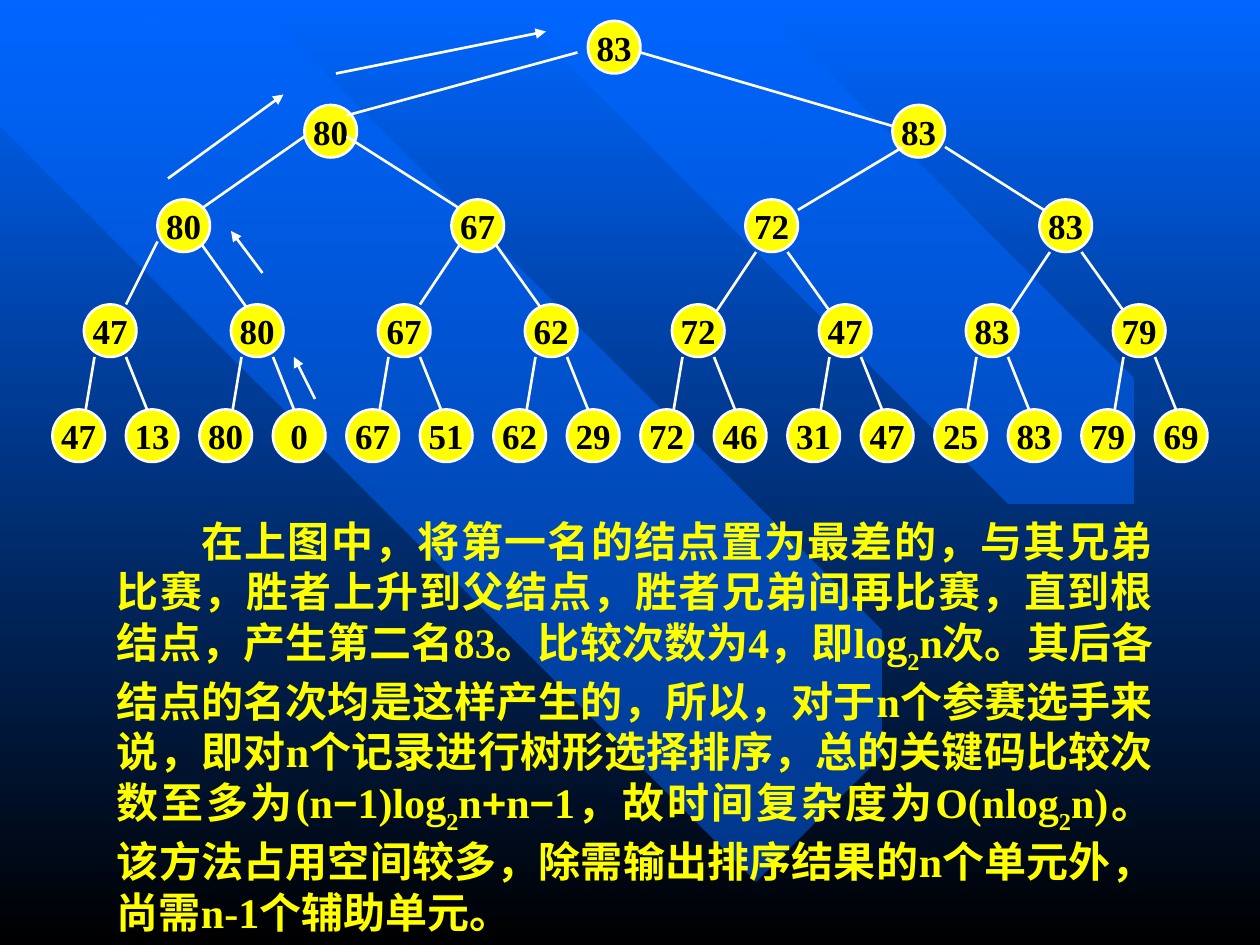
from lxml.etree import SubElement
from pptx import Presentation
from pptx.dml.color import RGBColor
from pptx.enum.shapes import MSO_CONNECTOR, MSO_SHAPE
from pptx.enum.text import MSO_ANCHOR, MSO_AUTO_SIZE, PP_ALIGN
from pptx.oxml.ns import qn
from pptx.util import Inches, Pt

BLUE, BLACK, WHITE, YELLOW = "0066FF", "000000", "FFFFFF", "FFFF00"
SERIF, SANS = "Times New Roman", "Arial"
NODE_SIZE = 5  # the tree is laid out in twelfths of an inch

BEAMS = [
    [(6.7, 5.93), (0.79, 0), (0, 0), (0, 0.84), (5.89, 6.75)],
    [(2.14, 0), (7.38, 5.27), (7.06, 5.59), (1.49, 0)],
    [(4.89, 0), (8.76, 3.89), (8.21, 4.44), (3.8, 0)],
    [(5.3, 0), (8.97, 3.68), (9.27, 3.38), (5.91, 0)],
]

# Tree levels: first left edge, step, top, values
UPPER_LEVELS = [
    (56, 0, 2, [83]),
    (29, 56, 10, [80, 83]),
]
LOWER_LEVELS = [
    (15, 28, 19, [80, 67, 72, 83]),
    (8, 14, 29, [47, 80, 67, 62, 72, 47, 83, 79]),
    (5, 7, 39, [47, 13, 80, 0, 67, 51, 62, 29, 72, 46, 31, 47, 25, 83, 79, 69]),
]

# Links as x1, y1, x2, y2
UPPER_LINKS = [
    (55, 5, 33, 11), (61, 5, 85, 12),
    (29, 13, 19, 20), (33, 13, 44, 20), (86, 14, 76, 20), (90, 14, 101, 21),
    (15, 23, 12, 29), (19, 23, 24, 30), (44, 23, 40, 29), (47, 23, 52, 30),
    (72, 24, 68, 30), (75, 24, 80, 31), (100, 24, 96, 30), (103, 24, 108, 31),
]
ARROWS = [(30, 38, 28, 34), (25, 26, 22, 22), (16, 17, 27, 9), (32, 7, 52, 3)]

# Explanation as text and style
EXPLANATION = [
    ("在上图中，将第一名的结点置为最差的，与其兄弟比赛，胜者上升到父结点，"
     "胜者兄弟间再比赛，直到根结点，产生第二名83。比较次数为4，即log", ""),
    ("2", "subscript"),
    ("n次。其后各结点的名次均是这样产生的，所以，对于n个参赛选手来说，"
     "即对n个记录进行树形选择排序，总的关键码比较次数至多为(n", ""),
    ("−", "sans"),
    ("1)log", ""),
    ("2", "subscript"),
    ("n", ""),
    ("+", "sans"),
    ("n", ""),
    ("−", "sans"),
    ("1，故时间复杂度为O(nlog", ""),
    ("2", "subscript"),
    ("n)。该方法占用空间较多，除需输出排序结果的n个单元外，尚需n-1个辅助单元。", ""),
]


def color(value):
    return RGBColor.from_string(value)


def grid(units):
    return Inches(units / 12)


def set_font(paragraph, size, value):
    font = paragraph.font
    font.name, font.size, font.bold = SERIF, Pt(size), True
    font.color.rgb = color(value)


def set_background(slide):
    fill = slide.background.fill
    fill.gradient()
    fill.gradient_angle = 270
    for stop, value in zip(fill.gradient_stops, (BLUE, BLACK)):
        stop.color.rgb = color(value)


def add_beam(slide, points):
    builder = slide.shapes.build_freeform(*points[0], scale=Inches(1))
    builder.add_line_segments(points[1:], close=True)
    shape = builder.convert_to_shape()
    shape.shadow.inherit = False
    shape.line.fill.background()
    shape.fill.solid()
    shape.fill.fore_color.rgb = color(BLUE)
    solid = shape.fill._xPr.find(qn("a:solidFill"))
    SubElement(solid[0], qn("a:alpha"), val="50000")


def add_node(slide, left, top, value):
    shape = slide.shapes.add_shape(
        MSO_SHAPE.OVAL, grid(left), grid(top), grid(NODE_SIZE), grid(NODE_SIZE))
    shape.shadow.inherit = False
    shape.fill.solid()
    shape.fill.fore_color.rgb = color(YELLOW)
    shape.line.color.rgb = color(WHITE)
    shape.line.width = Pt(1.5)
    frame = shape.text_frame
    frame.word_wrap = False
    frame.vertical_anchor = MSO_ANCHOR.MIDDLE
    paragraph = frame.paragraphs[0]
    paragraph.text = str(value)
    paragraph.alignment = PP_ALIGN.CENTER
    set_font(paragraph, 20, BLACK)


def add_levels(slide, levels):
    for left, step, top, values in levels:
        for index, value in enumerate(values):
            add_node(slide, left + index * step, top, value)


def add_line(slide, ends, arrow=False):
    line = slide.shapes.add_connector(
        MSO_CONNECTOR.STRAIGHT, *[grid(units) for units in ends])
    line.line.color.rgb = color(WHITE)
    line.line.width = Pt(1.5)
    properties = line._element.spPr
    if arrow:
        SubElement(properties.find(qn("a:ln")), qn("a:tailEnd"), type="triangle")
    SubElement(properties, qn("a:effectLst"))


def add_explanation(slide):
    box = slide.shapes.add_textbox(
        Inches(0.83), Inches(4.04), Inches(8.42), Inches(3.52))
    frame = box.text_frame
    frame.word_wrap = True
    frame.auto_size = MSO_AUTO_SIZE.SHAPE_TO_FIT_TEXT
    paragraph = frame.paragraphs[0]
    paragraph.alignment = PP_ALIGN.JUSTIFY
    paragraph._p.get_or_add_pPr().set("indent", str(Inches(0.67)))
    set_font(paragraph, 24, YELLOW)
    for text, style in EXPLANATION:
        run = paragraph.add_run()
        run.text = text
        if style == "sans":
            run.font.name = SANS
        elif style == "subscript":
            run._r.get_or_add_rPr().set("baseline", "-30000")


def main():
    presentation = Presentation()
    presentation.slide_width, presentation.slide_height = Inches(10), Inches(7.5)
    slide = presentation.slides.add_slide(presentation.slide_layouts[6])

    # Background with diagonal beams
    set_background(slide)
    for points in BEAMS:
        add_beam(slide, points)

    # Tournament tree: links lie over the upper nodes and under the lower ones
    add_levels(slide, UPPER_LEVELS)
    for ends in UPPER_LINKS:
        add_line(slide, ends)
    for offset in range(0, 8 * 14, 14):
        add_line(slide, (9 + offset, 34, 8 + offset, 40))
        add_line(slide, (12 + offset, 34, 14 + offset, 39))
    add_levels(slide, LOWER_LEVELS)

    # Explanation and the winner's way up
    add_explanation(slide)
    for ends in ARROWS:
        add_line(slide, ends, arrow=True)

    presentation.save("out.pptx")


if __name__ == "__main__":
    main()
